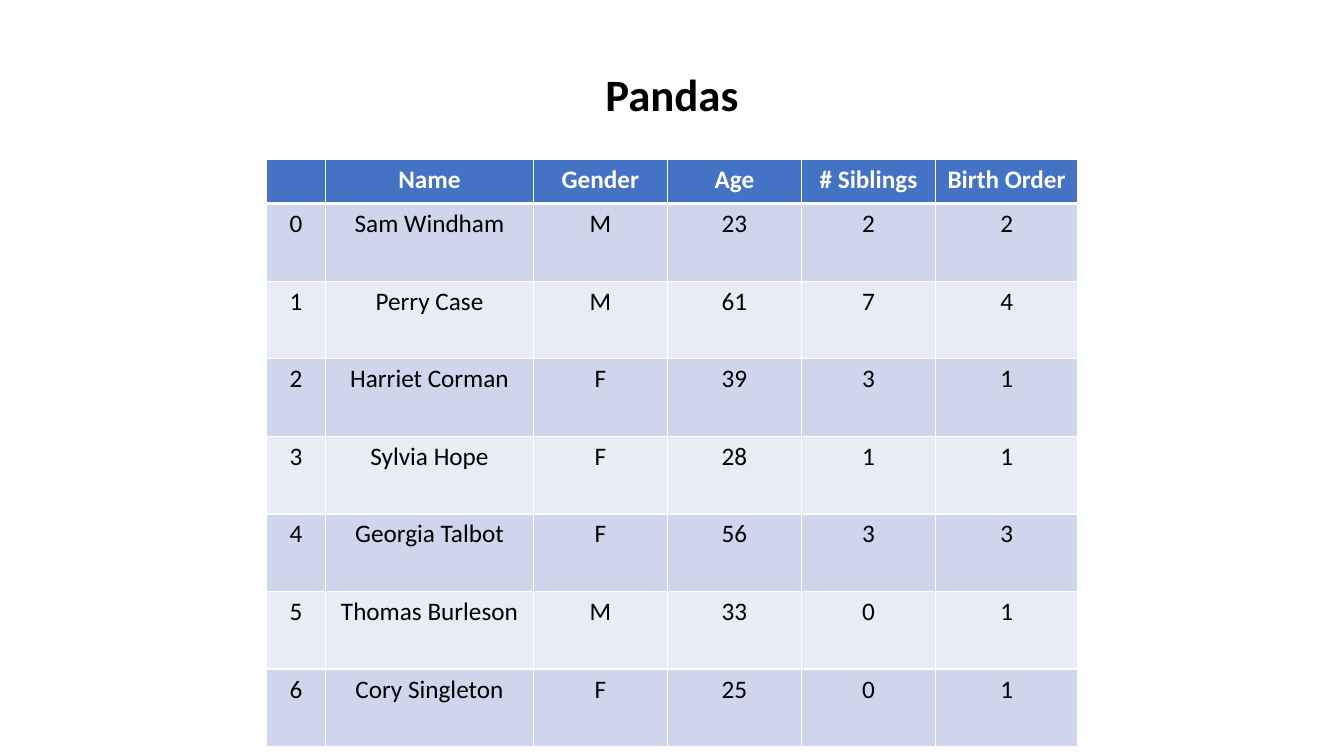
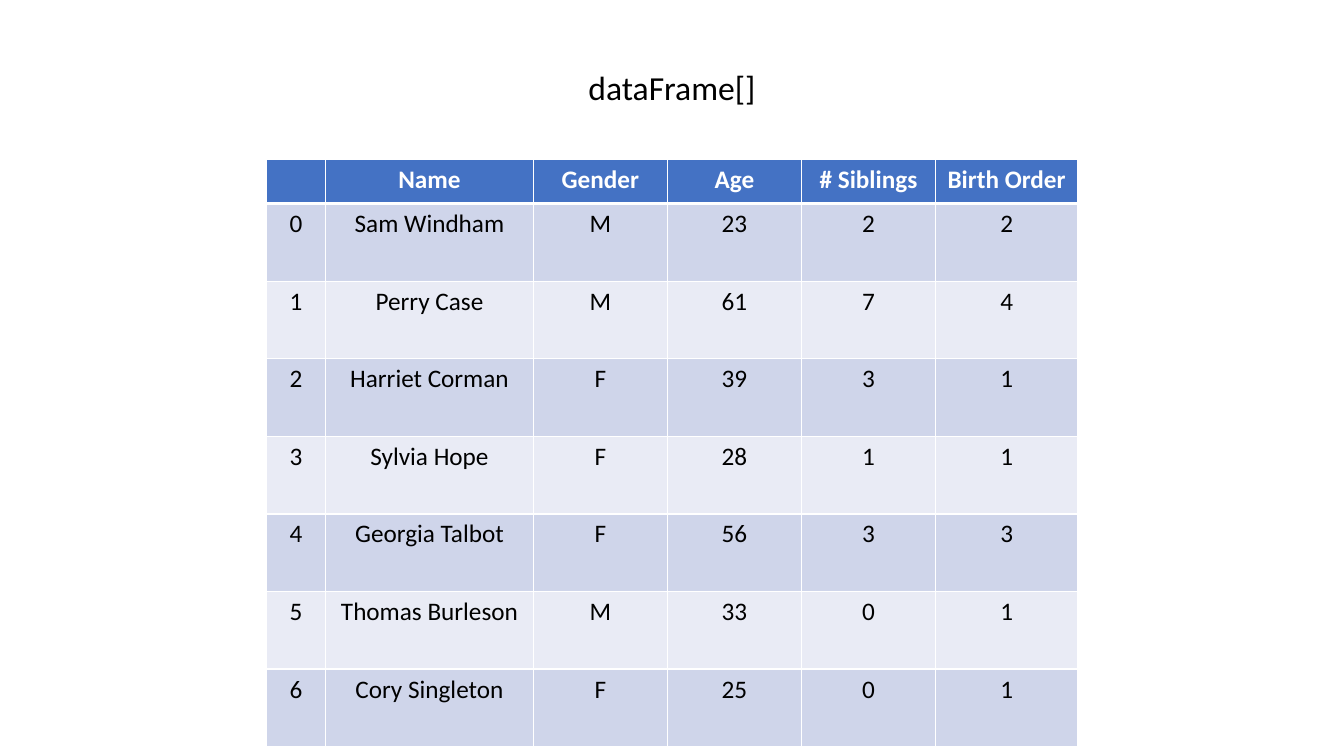
from dataclasses import dataclass

from lxml.etree import SubElement
from pptx import Presentation
from pptx.dml.color import RGBColor
from pptx.enum.text import MSO_ANCHOR, MSO_AUTO_SIZE, PP_ALIGN
from pptx.oxml.ns import qn
from pptx.util import Inches, Pt

COLORS = {
    "header": "4472C4",
    "odd_row": "CFD5EA",
    "even_row": "E9EBF5",
    "white": "FFFFFF",
    "black": "000000",
}
FONT = "Calibri"
TITLE_ONLY = 5
COLUMN_WIDTHS = (0.59, 2.06, 1.33, 1.33, 1.33, 1.41)
HEADER_HEIGHT = 0.44
ROW_HEIGHT = 0.77
HEADINGS = ("", "Name", "Gender", "Age", "# Siblings", "Birth Order")


@dataclass(frozen=True)
class Person:
    name: str
    gender: str
    age: int
    siblings: int
    birth_order: int

    def cells(self, index: int) -> tuple[str, ...]:
        values = (index, self.name, self.gender, self.age, self.siblings, self.birth_order)
        return tuple(str(value) for value in values)


@dataclass(frozen=True)
class TitleStyle:
    text: str
    size: int
    bold: bool
    height: float


PEOPLE = (
    Person("Sam Windham", "M", 23, 2, 2),
    Person("Perry Case", "M", 61, 7, 4),
    Person("Harriet Corman", "F", 39, 3, 1),
    Person("Sylvia Hope", "F", 28, 1, 1),
    Person("Georgia Talbot", "F", 56, 3, 3),
    Person("Thomas Burleson", "M", 33, 0, 1),
    Person("Cory Singleton", "F", 25, 0, 1),
)
TITLES = (
    TitleStyle("Pandas", 32, True, 0.64),
    TitleStyle("dataFrame[]", 24, False, 0.5),
)


def format_text(text_frame, size: int, color: str, bold: bool) -> None:
    for paragraph in text_frame.paragraphs:
        paragraph.alignment = PP_ALIGN.CENTER
        for run in paragraph.runs:
            run.font.name = FONT
            run.font.size = Pt(size)
            run.font.bold = bold
            run.font.color.rgb = RGBColor.from_string(COLORS[color])


def add_title(slide, title: TitleStyle) -> None:
    shape = slide.shapes.title
    shape.left, shape.top = Inches(4.8), Inches(0.61)
    shape.width, shape.height = Inches(3.73), Inches(title.height)
    text_frame = shape.text_frame
    text_frame.text = title.text
    text_frame.word_wrap = True
    text_frame.auto_size = MSO_AUTO_SIZE.SHAPE_TO_FIT_TEXT
    text_frame.vertical_anchor = MSO_ANCHOR.TOP
    format_text(text_frame, title.size, "black", title.bold)


def set_borders(cell, top: int, bottom: int) -> None:
    properties = cell._tc.get_or_add_tcPr()
    for side, width in (("L", 1), ("R", 1), ("T", top), ("B", bottom)):
        line = SubElement(properties, qn(f"a:ln{side}"), w=str(Pt(width)))
        fill = SubElement(line, qn("a:solidFill"))
        SubElement(fill, qn("a:srgbClr"), val=COLORS["white"])


def format_cell(cell, row_index: int) -> None:
    is_header = row_index == 0
    set_borders(cell, top=3 if row_index == 1 else 1, bottom=3 if is_header else 1)
    band = "header" if is_header else "odd_row" if row_index % 2 else "even_row"
    cell.fill.solid()
    cell.fill.fore_color.rgb = RGBColor.from_string(COLORS[band])
    format_text(cell.text_frame, 18, "white" if is_header else "black", is_header)


def add_people_table(slide) -> None:
    rows = [HEADINGS, *(person.cells(index) for index, person in enumerate(PEOPLE))]
    heights = [HEADER_HEIGHT] + [ROW_HEIGHT] * len(PEOPLE)
    table = slide.shapes.add_table(
        len(rows), len(HEADINGS), Inches(2.64), Inches(1.58),
        Inches(sum(COLUMN_WIDTHS)), Inches(sum(heights)),
    ).table
    for column, width in zip(table.columns, COLUMN_WIDTHS):
        column.width = Inches(width)
    for row_index, (row, height, values) in enumerate(zip(table.rows, heights, rows)):
        row.height = Inches(height)
        for cell, value in zip(row.cells, values):
            cell.text = value
            format_cell(cell, row_index)


def main() -> None:
    presentation = Presentation()
    presentation.slide_width = Inches(13.33)
    presentation.slide_height = Inches(7.5)
    for title in TITLES:
        slide = presentation.slides.add_slide(presentation.slide_layouts[TITLE_ONLY])
        add_title(slide, title)
        add_people_table(slide)
    presentation.save("out.pptx")


if __name__ == "__main__":
    main()
